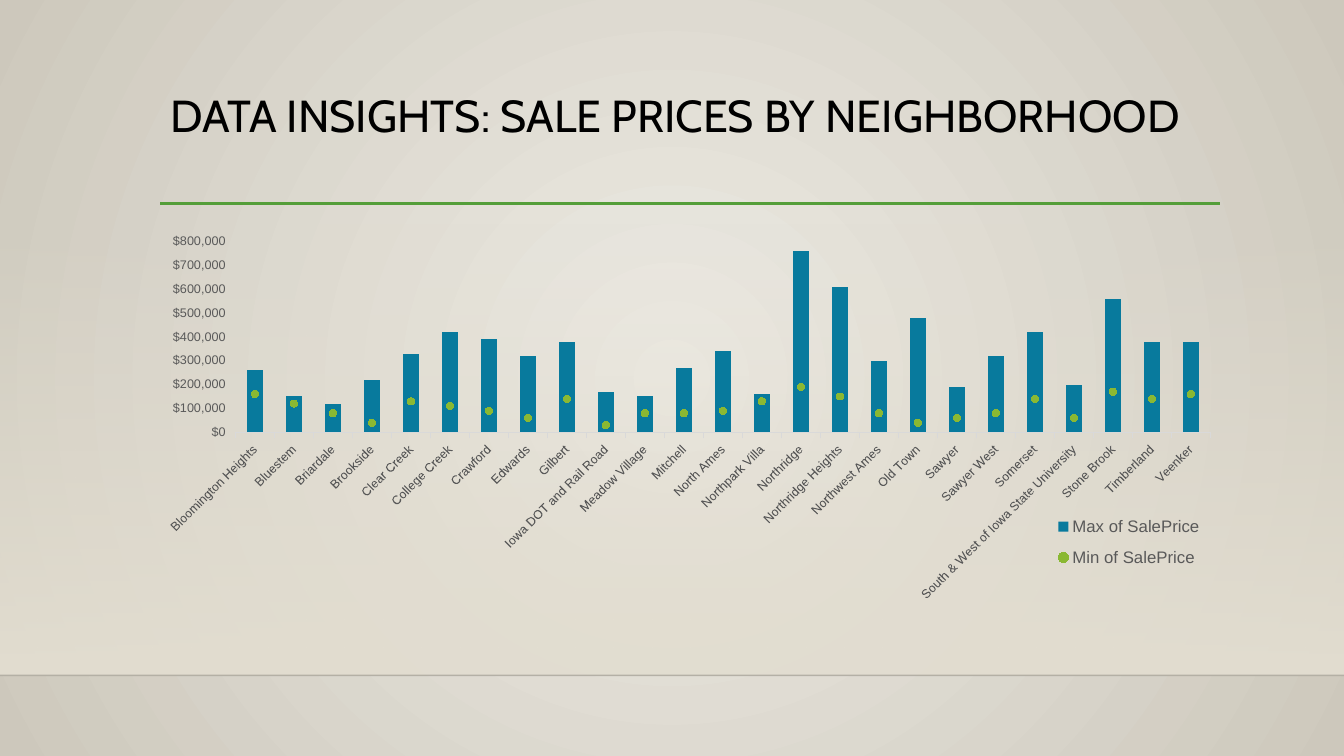
import pptx
import pptx.chart.data
import pptx.dml.color
import pptx.enum.chart
import pptx.enum.shapes
import pptx.enum.text
import pptx.oxml.ns
import pptx.util
from lxml import etree

Inches, Pt, qn = pptx.util.Inches, pptx.util.Pt, pptx.oxml.ns.qn
kinds = pptx.enum.chart

# neighborhood, highest and lowest sale price in thousands of dollars
SALES = [
    ("Bloomington Heights", 260, 160), ("Bluestem", 150, 120), ("Briardale", 120, 80),
    ("Brookside", 220, 40), ("Clear Creek", 330, 130), ("College Creek", 420, 110),
    ("Crawford", 390, 90), ("Edwards", 320, 60), ("Gilbert", 380, 140),
    ("Iowa DOT and Rail Road", 170, 30), ("Meadow Village", 150, 80), ("Mitchell", 270, 80),
    ("North Ames", 340, 90), ("Northpark Villa", 160, 130), ("Northridge", 760, 190),
    ("Northridge Heights", 610, 150), ("Northwest Ames", 300, 80), ("Old Town", 480, 40),
    ("Sawyer", 190, 60), ("Sawyer West", 320, 80), ("Somerset", 420, 140),
    ("South & West of Iowa State University", 200, 60), ("Stone Brook", 560, 170),
    ("Timberland", 380, 140), ("Veenker", 380, 160),
]


def rgb(value):
    return pptx.dml.color.RGBColor.from_string(value)


def apply(target, values):
    """Set every attribute named in values on target."""
    for name, value in values.items():
        setattr(target, name, value)


def set_alpha(parent, percent):
    """Make the first colour below parent partly transparent."""
    colour = next(parent.iter(qn("a:srgbClr")))
    etree.SubElement(colour, qn("a:alpha"), val=str(percent * 1000))


def set_solid(fill, colour):
    fill.solid()
    fill.fore_color.rgb = rgb(colour)


def set_gradient(fill, colours):
    fill.gradient()
    for stop, colour in zip(fill.gradient_stops, colours):
        stop.color.rgb = rgb(colour)


def set_layout(parent, index, box, inner=False):
    """Place a chart part by left, top, width and height fractions."""
    for old in parent.findall(qn("c:layout")):
        parent.remove(old)
    layout = etree.Element(qn("c:layout"))
    manual = etree.SubElement(layout, qn("c:manualLayout"))
    if inner:
        etree.SubElement(manual, qn("c:layoutTarget"), val="inner")
    for mode in ("xMode", "yMode"):
        etree.SubElement(manual, qn("c:" + mode), val="edge")
    for side, fraction in zip("xywh", box):
        etree.SubElement(manual, qn("c:" + side), val=str(fraction))
    parent.insert(index, layout)


class InsightSlide:
    heading_font, chart_font = "Cabin", "Arial"
    ink, muted, axis_line = "000000", "595959", "D9D9D9"
    bar, dot, rule = "087A9D", "8AB833", "549E39"

    def __init__(self, deck):
        self.slide = deck.slides.add_slide(deck.slide_layouts[5])
        self.shapes = self.slide.shapes

    def style_font(self, font, size, colour, name):
        apply(font, {"size": Pt(size), "name": name, "bold": False})
        font.color.rgb = rgb(colour)

    def background(self, centre, edge):
        set_gradient(self.slide.background.fill, (centre, edge))
        gradient = next(self.slide.element.iter(qn("a:gradFill")))
        for linear in gradient.findall(qn("a:lin")):
            gradient.remove(linear)
        circle = etree.SubElement(gradient, qn("a:path"), {"path": "circle"})
        etree.SubElement(circle, qn("a:fillToRect"), {side: "50000" for side in "ltrb"})

    def fading_band(self, left, top, width, height, colour):
        """Add a rectangle that is clear at the top and solid at the bottom."""
        band = self.shapes.add_shape(pptx.enum.shapes.MSO_SHAPE.RECTANGLE, Inches(left),
                                     Inches(top), Inches(width), Inches(height))
        band.shadow.inherit = False
        band.line.fill.background()
        set_gradient(band.fill, (colour, colour))
        band.fill.gradient_angle = 270
        set_alpha(band.element.spPr, 0)

    def horizontal_line(self, left, right, y, colour, weight, alpha=100):
        line = self.shapes.add_connector(pptx.enum.shapes.MSO_CONNECTOR.STRAIGHT, Inches(left),
                                         Inches(y), Inches(right), Inches(y))
        line.line.width = Pt(weight)
        line.line.color.rgb = rgb(colour)
        set_alpha(line.element.spPr, alpha)
        etree.SubElement(line.element.spPr, qn("a:effectLst"))

    def title(self, text, left, top, width, height):
        heading = self.shapes.title
        apply(heading, {"left": Inches(left), "top": Inches(top),
                        "width": Inches(width), "height": Inches(height)})
        frame = heading.text_frame
        frame.text = text
        apply(frame, {"word_wrap": True, "auto_size": pptx.enum.text.MSO_AUTO_SIZE.NONE,
                      "vertical_anchor": pptx.enum.text.MSO_ANCHOR.TOP})
        line = frame.paragraphs[0]
        apply(line, {"line_spacing": 0.9, "alignment": pptx.enum.text.PP_ALIGN.LEFT})
        self.style_font(line.runs[0].font, 32, self.ink, self.heading_font)

    def price_chart(self, left, top, width, height):
        names, highest, lowest = zip(*SALES)
        prices = pptx.chart.data.CategoryChartData(number_format='"$"#,##0')
        prices.categories = names
        for label, column in (("Max of SalePrice", highest), ("Min of SalePrice", lowest)):
            prices.add_series(label, [thousands * 1000 for thousands in column])
        chart = self.shapes.add_chart(kinds.XL_CHART_TYPE.COLUMN_CLUSTERED, Inches(left),
                                      Inches(top), Inches(width), Inches(height), prices).chart
        chart.has_title = False
        self.style_font(chart.font, 10, self.ink, self.chart_font)
        self.style_axes(chart)
        self.style_legend(chart)
        columns = chart.plots[0]
        apply(columns, {"gap_width": 150, "vary_by_categories": False})
        set_solid(columns.series[0].format.fill, self.bar)
        self.series_as_dots(chart)
        set_layout(chart._chartSpace.chart.plotArea, 0, (0.071, 0.052, 0.921, 0.507), True)

    def style_axes(self, chart):
        names, values = chart.category_axis, chart.value_axis
        for axis in (names, values):
            apply(axis, {"has_major_gridlines": False,
                         "major_tick_mark": kinds.XL_TICK_MARK.OUTSIDE,
                         "minor_tick_mark": kinds.XL_TICK_MARK.NONE})
            self.style_font(axis.tick_labels.font, 9, self.muted, self.chart_font)
        names.format.line.width = Pt(0.75)
        names.format.line.color.rgb = rgb(self.axis_line)
        slant = next(names._element.iter(qn("a:bodyPr")))
        slant.set("rot", "-2700000")
        slant.set("vert", "horz")
        apply(values, {"minimum_scale": 0, "maximum_scale": 800000, "major_unit": 100000})
        apply(values.tick_labels, {"number_format": '"$"#,##0', "number_format_is_linked": False})
        values.format.line.fill.background()

    def style_legend(self, chart):
        chart.has_legend = True
        apply(chart.legend, {"position": kinds.XL_LEGEND_POSITION.RIGHT,
                             "include_in_layout": False})
        self.style_font(chart.legend.font, 12, self.muted, self.chart_font)
        set_layout(chart.legend._element, 1, (0.84, 0.75, 0.15, 0.2))

    def series_as_dots(self, chart):
        """Move the second column series to a line plot with markers only."""
        bars = chart._chartSpace.chart.plotArea.find(qn("c:barChart"))
        series = bars.findall(qn("c:ser"))[1]
        for bar_only in series.findall(qn("c:invertIfNegative")):
            series.remove(bar_only)
        lines = bars.makeelement(qn("c:lineChart"))
        bars.addnext(lines)
        etree.SubElement(lines, qn("c:grouping"), val="stacked")
        etree.SubElement(lines, qn("c:varyColors"), val="0")
        lines.append(series)
        etree.SubElement(lines, qn("c:marker"), val="1")
        for axis in bars.findall(qn("c:axId")):
            etree.SubElement(lines, qn("c:axId"), val=axis.get("val"))
        dots = chart.plots[1].series[0]
        dots.smooth = False
        dots.format.line.fill.background()
        apply(dots.marker, {"style": kinds.XL_MARKER_STYLE.CIRCLE, "size": 5})
        set_solid(dots.marker.format.fill, self.dot)
        set_solid(dots.marker.format.line.fill, self.dot)


def main():
    deck = pptx.Presentation()
    apply(deck, {"slide_width": Inches(13.33), "slide_height": Inches(7.5)})
    page = InsightSlide(deck)
    page.background("EDEBE4", "CDC8BC")
    page.fading_band(0, 2.21, 13.33, 4.49, "E3DED1")
    page.horizontal_line(0, 13.33, 6.7, "000001", 1, alpha=20)
    page.horizontal_line(1.59, 12.1, 2.02, page.rule, 2.5)
    page.title("DATA INSIGHTS: SALE PRICES BY NEIGHBORHOOD", 1.59, 0.88, 10.5, 1.15)
    page.price_chart(1.59, 2.2, 10.5, 3.77)
    deck.save("out.pptx")


if __name__ == "__main__":
    main()
